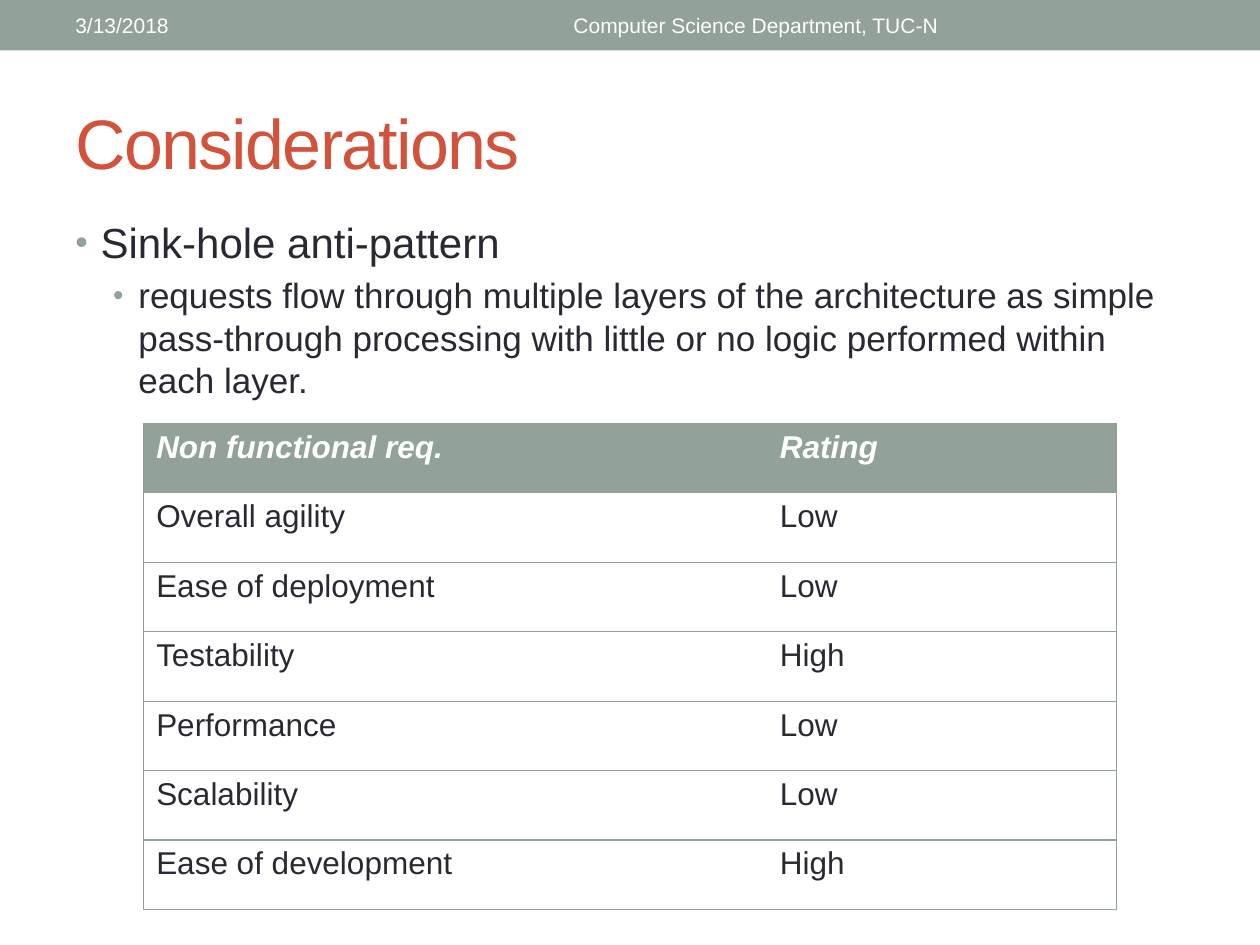
from lxml import etree
from pptx import Presentation
from pptx import util as u
from pptx.dml.color import RGBColor
from pptx.enum import shapes, text
from pptx.oxml.ns import qn

THEME = dict(font="Arial", sage="93A299", ink="292934", rust="D2533C", white="FFFFFF",
             title=40, lead=24, sub=20, cell=18, small=12, rule=0.75)
WIDE, HIGH = 10, 7.5
EDGE = WIDE / 20
BAR = 0.4

TITLE = "Considerations"
HEAD = [  # words, left, width, alignment
    ("3/13/2018", EDGE, 3.17, text.PP_ALIGN.LEFT),
    ("Computer Science Department, TUC-N", 3.75, 4.5, text.PP_ALIGN.CENTER),
]
POINTS = [  # words, level, size
    ("Sink-hole anti-pattern", 0, "lead"),
    ("requests flow through multiple layers of the architecture as simple "
     "pass-through processing with little or no logic performed within each layer.",
     1, "sub"),
]
ROWS = [
    ("Non functional req.", "Rating"),
    ("Overall agility", "Low"),
    ("Ease of deployment", "Low"),
    ("Testability", "High"),
    ("Performance", "Low"),
    ("Scalability", "Low"),
    ("Ease of development", "High"),
]
COLS = (4.95, 2.77)
GRID_TOP, ROW = 3.36, 3.86 / len(ROWS)


def color(name):
    """Look up a theme colour."""
    return RGBColor.from_string(THEME[name])


def box(left, top, width, height):
    """Turn inches into a placement."""
    return [u.Inches(v) for v in (left, top, width, height)]


def write(para, words, size, tint, bold=False):
    """Add one formatted run to a paragraph."""
    run = para.add_run()
    run.text = words
    font = run.font
    font.name, font.size = THEME["font"], u.Pt(THEME[size])
    font.bold = font.italic = bold
    font.color.rgb = color(tint)
    return run


def frame(slide, place, anchor):
    """Add a wrapping text box and return its frame."""
    body = slide.shapes.add_textbox(*place).text_frame
    body.word_wrap, body.vertical_anchor = True, anchor
    return body


def bullet(para, level, size):
    """Give a paragraph its level, hanging indent and bullet."""
    para.level = level
    para.space_before = u.Pt(THEME[size] * 0.2)
    props = para._p.get_or_add_pPr()
    props.set("marL", str(u.Inches(0.2 + 0.3 * level)))
    props.set("indent", str(u.Inches(-0.2)))
    tint = etree.SubElement(props, qn("a:buClr"))
    etree.SubElement(tint, qn("a:srgbClr"), val=THEME["sage"])
    etree.SubElement(props, qn("a:buSzPct"), val="85000")
    etree.SubElement(props, qn("a:buFont"), typeface=THEME["font"])
    etree.SubElement(props, qn("a:buChar"), char="•")


def border(cell, sides):
    """Rule the named sides of a cell and clear the others."""
    props = cell._tc.get_or_add_tcPr()
    for spot, side in enumerate("LRTB"):
        line = etree.Element(qn("a:ln" + side), w=str(u.Pt(THEME["rule"])))
        if side in sides:
            fill = etree.SubElement(line, qn("a:solidFill"))
            etree.SubElement(fill, qn("a:srgbClr"), val=THEME["sage"])
        else:
            etree.SubElement(line, qn("a:noFill"))
        props.insert(spot, line)


def header(slide):
    """Draw the top bar with its date and department."""
    bar = slide.shapes.add_shape(shapes.MSO_SHAPE.RECTANGLE, *box(0, 0, WIDE, BAR))
    bar.shadow.inherit = False
    bar.fill.solid()
    bar.fill.fore_color.rgb = color("sage")
    bar.line.fill.background()
    for words, left, width, align in HEAD:
        body = frame(slide, box(left, 0.02, width, BAR - 0.04), text.MSO_ANCHOR.MIDDLE)
        para = body.paragraphs[0]
        para.alignment = align
        write(para, words, "small", "white")


def title(slide):
    """Place and fill the title."""
    head = slide.shapes.title
    head.left, head.top, head.width, head.height = box(EDGE, 0.58, WIDE - 2 * EDGE, 1.08)
    body = head.text_frame
    body.vertical_anchor = text.MSO_ANCHOR.MIDDLE
    para = body.paragraphs[0]
    para.alignment = text.PP_ALIGN.LEFT
    run = write(para, TITLE, "title", "rust")
    run.font._element.set("spc", "-100")


def points(slide):
    """Write the bulleted text."""
    body = frame(slide, box(EDGE, 1.67, WIDE - 2 * EDGE, 5.33), text.MSO_ANCHOR.TOP)
    for spot, (words, level, size) in enumerate(POINTS):
        para = body.add_paragraph() if spot else body.paragraphs[0]
        bullet(para, level, size)
        write(para, words, size, "ink")


def ratings(slide):
    """Build the centred table of ratings."""
    wide = sum(COLS)
    place = box((WIDE - wide) / 2, GRID_TOP, wide, ROW * len(ROWS))
    grid = slide.shapes.add_table(len(ROWS), len(COLS), *place).table
    grid.horz_banding = False
    for col, width in zip(grid.columns, COLS):
        col.width = u.Inches(width)
    for r, row in enumerate(ROWS):
        grid.rows[r].height = u.Inches(ROW)
        for c, words in enumerate(row):
            cell, top = grid.cell(r, c), r == 0
            cell.fill.solid()
            cell.fill.fore_color.rgb = color("sage" if top else "white")
            border(cell, "TB" + "LR"[c])
            write(cell.text_frame.paragraphs[0], words, "cell",
                  "white" if top else "ink", top)


deck = Presentation()
deck.slide_width, deck.slide_height = u.Inches(WIDE), u.Inches(HIGH)
page = deck.slides.add_slide(deck.slide_layouts[5])
for part in (header, title, points, ratings):
    part(page)
deck.save("out.pptx")
